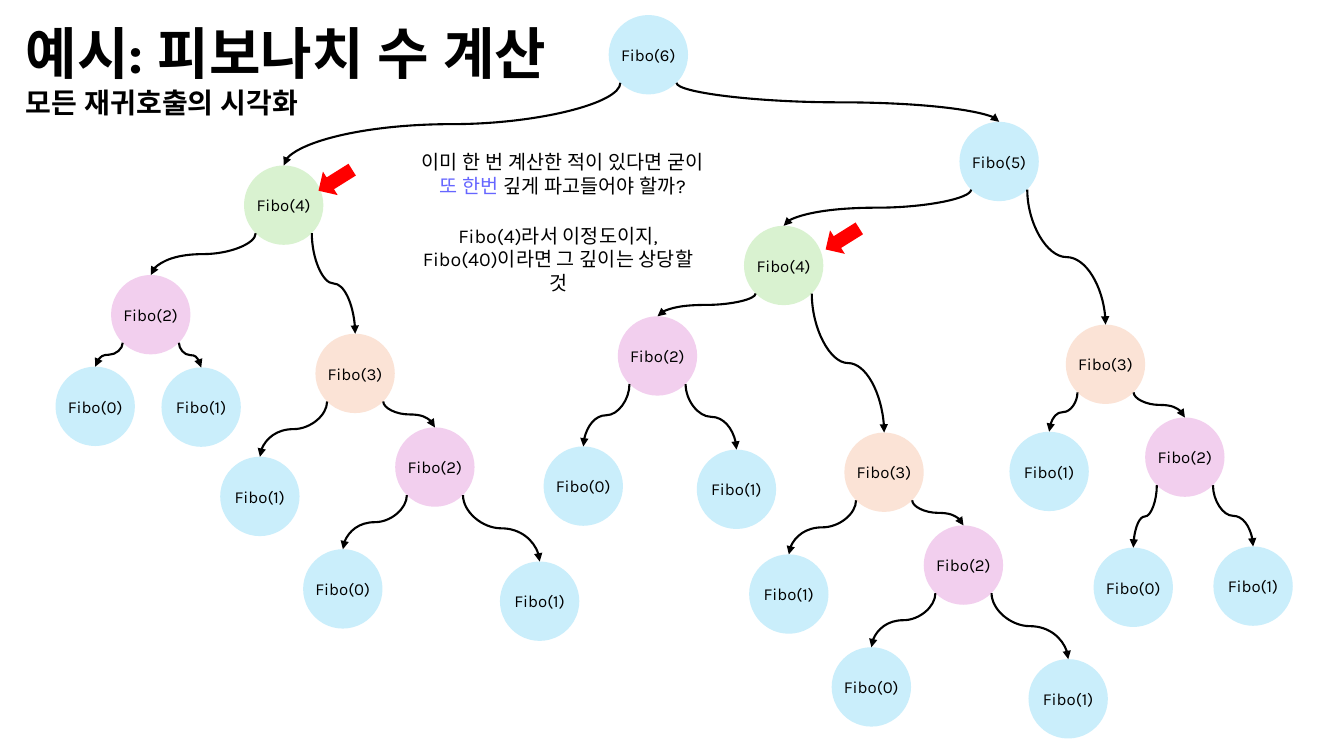
from math import sqrt

from lxml.etree import SubElement
from pptx import Presentation
from pptx.dml.color import RGBColor
from pptx.enum.shapes import MSO_CONNECTOR, MSO_SHAPE
from pptx.enum.text import MSO_ANCHOR, MSO_AUTO_SIZE, PP_ALIGN
from pptx.oxml.ns import qn
from pptx.util import Cm, Pt

FONT = "Karla"
BLACK, RED, VIOLET = "000000", "FF0000", "6666FF"
NODE_SIZE = 2.0
DIAGONAL = NODE_SIZE / 2 / sqrt(2)
NODE_COLORS = {2: "F2CFEE", 3: "FBE3D6", 4: "D9F2D0"}
BASE_COLOR = "CAEEFB"

# Connection sites of an ellipse
TOP, BOTTOM_LEFT, BOTTOM_RIGHT = 0, 3, 5

# Call tree: argument, left, top (cm), child calls from left to right
CALL_TREE = (6, 15.34, 0.38, [
    (4, 6.15, 4.17, [
        (2, 2.8, 6.93, [(0, 1.4, 9.24, []), (1, 4.07, 9.26, [])]),
        (3, 7.95, 8.41, [
            (1, 5.55, 11.51, []),
            (2, 9.96, 10.77, [(0, 7.64, 13.84, []), (1, 12.6, 14.15, [])]),
        ]),
    ]),
    (5, 24.18, 3.07, [
        (4, 18.75, 5.69, [
            (2, 15.57, 7.97, [(0, 13.7, 11.25, []), (1, 17.56, 11.33, [])]),
            (3, 21.28, 10.9, [
                (1, 18.88, 13.97, []),
                (2, 23.28, 13.24, [(0, 20.96, 16.31, []), (1, 25.92, 16.61, [])]),
            ]),
        ]),
        (3, 26.86, 8.18, [
            (1, 25.44, 10.88, []),
            (2, 28.86, 10.52, [(0, 27.56, 13.8, []), (1, 30.58, 13.77, [])]),
        ]),
    ]),
])


def rgb(color):
    return RGBColor.from_string(color)


def format_run(run, size, color=BLACK, bold=False):
    run.font.name = FONT
    run.font.size = Pt(size)
    run.font.bold = bold
    run.font.color.rgb = rgb(color)
    east_asian = SubElement(run.font._element, qn("a:ea"))
    east_asian.set("typeface", FONT)


def add_filled_shape(slide, kind, left, top, width, height, color):
    shape = slide.shapes.add_shape(kind, Cm(left), Cm(top), Cm(width), Cm(height))
    shape.shadow.inherit = False
    shape.fill.solid()
    shape.fill.fore_color.rgb = rgb(color)
    shape.line.fill.background()
    return shape


def add_node(slide, argument, left, top):
    color = NODE_COLORS.get(argument, BASE_COLOR)
    node = add_filled_shape(slide, MSO_SHAPE.OVAL, left, top, NODE_SIZE, NODE_SIZE, color)
    text_frame = node.text_frame
    text_frame.margin_left = text_frame.margin_right = 0
    text_frame.vertical_anchor = MSO_ANCHOR.MIDDLE
    text_frame.text = f"Fibo({argument})"
    paragraph = text_frame.paragraphs[0]
    paragraph.alignment = PP_ALIGN.CENTER
    format_run(paragraph.runs[0], 12)
    return node


def add_call_arrow(slide, parent, child, start, end):
    """Draw a vertical S-curve: a horizontal one turned by a quarter."""
    (x1, y1), (x2, y2) = start, end
    goes_left = x2 < x1
    length, breadth = y2 - y1, abs(x2 - x1)
    left = (x1 + x2 - length) / 2
    top = (y1 + y2 - breadth) / 2
    connector = slide.shapes.add_connector(
        MSO_CONNECTOR.CURVE, Cm(left), Cm(top), Cm(left + length), Cm(top + breadth))
    connector.line.width = Pt(1.5)
    connector.line.color.rgb = rgb(BLACK)
    SubElement(connector.line._get_or_add_ln(), qn("a:tailEnd")).set("type", "triangle")

    properties = connector._element.spPr
    SubElement(properties, qn("a:effectLst"))
    transform = properties.find(qn("a:xfrm"))
    transform.set("rot", str((90 if goes_left else 270) * 60000))
    if not goes_left:
        transform.set("flipH", "1")

    # Join both ends to the circles
    joints = connector._element.nvCxnSpPr.cNvCxnSpPr
    parent_site = BOTTOM_LEFT if goes_left else BOTTOM_RIGHT
    for tag, node, site in (("a:stCxn", parent, parent_site), ("a:endCxn", child, TOP)):
        joint = SubElement(joints, qn(tag))
        joint.set("id", str(node.shape_id))
        joint.set("idx", str(site))


def add_call_tree(slide, call):
    argument, left, top, children = call
    node = add_node(slide, argument, left, top)
    radius = NODE_SIZE / 2
    for child_call, side in zip(children, (-1, 1)):
        child = add_call_tree(slide, child_call)
        start = (left + radius + side * DIAGONAL, top + radius + DIAGONAL)
        end = (child_call[1] + radius, child_call[2])
        add_call_arrow(slide, node, child, start, end)
    return node


def add_text(slide, left, top, width, height, paragraphs, alignment):
    """Each paragraph is a list of (text, size, color, bold) runs."""
    box = slide.shapes.add_textbox(Cm(left), Cm(top), Cm(width), Cm(height))
    text_frame = box.text_frame
    text_frame.word_wrap = True
    text_frame.auto_size = MSO_AUTO_SIZE.SHAPE_TO_FIT_TEXT
    for index, runs in enumerate(paragraphs):
        paragraph = text_frame.add_paragraph() if index else text_frame.paragraphs[0]
        paragraph.alignment = alignment
        for text, size, color, bold in runs:
            run = paragraph.add_run()
            run.text = text
            format_run(run, size, color, bold)


def add_marker(slide, left, top):
    marker = add_filled_shape(slide, MSO_SHAPE.RIGHT_ARROW, left, top, 1.0, 0.7, RED)
    marker.rotation = 147.9


def main():
    presentation = Presentation()
    presentation.slide_width, presentation.slide_height = Cm(33.87), Cm(19.05)
    slide = presentation.slides.add_slide(presentation.slide_layouts[6])

    # Title and subtitle
    add_text(slide, 0.4, 0.33, 17.15, 2.82, [
        [("예시: 피보나치 수 계산", 40, BLACK, True)],
        [("모든 재귀호출의 시각화", 20, BLACK, True)],
    ], PP_ALIGN.LEFT)

    # Recursive calls
    add_call_tree(slide, CALL_TREE)

    # Markers at the repeated call
    for left, top in ((7.95, 4.19), (20.73, 5.67)):
        add_marker(slide, left, top)

    # Remarks
    add_text(slide, 10.31, 3.66, 7.75, 1.45, [
        [("이미 한 번 계산한 적이 있다면 굳이 ", 14, BLACK, False),
         ("또 한번", 14, VIOLET, False),
         (" 깊게 파고들어야 할까?", 14, BLACK, False)],
    ], PP_ALIGN.CENTER)
    add_text(slide, 10.19, 5.51, 7.75, 1.45, [
        [("Fibo(4)라서 이정도이지,", 14, BLACK, False)],
        [("Fibo(40)이라면 그 깊이는 상당할 것", 14, BLACK, False)],
    ], PP_ALIGN.CENTER)

    presentation.save("out.pptx")


if __name__ == "__main__":
    main()
